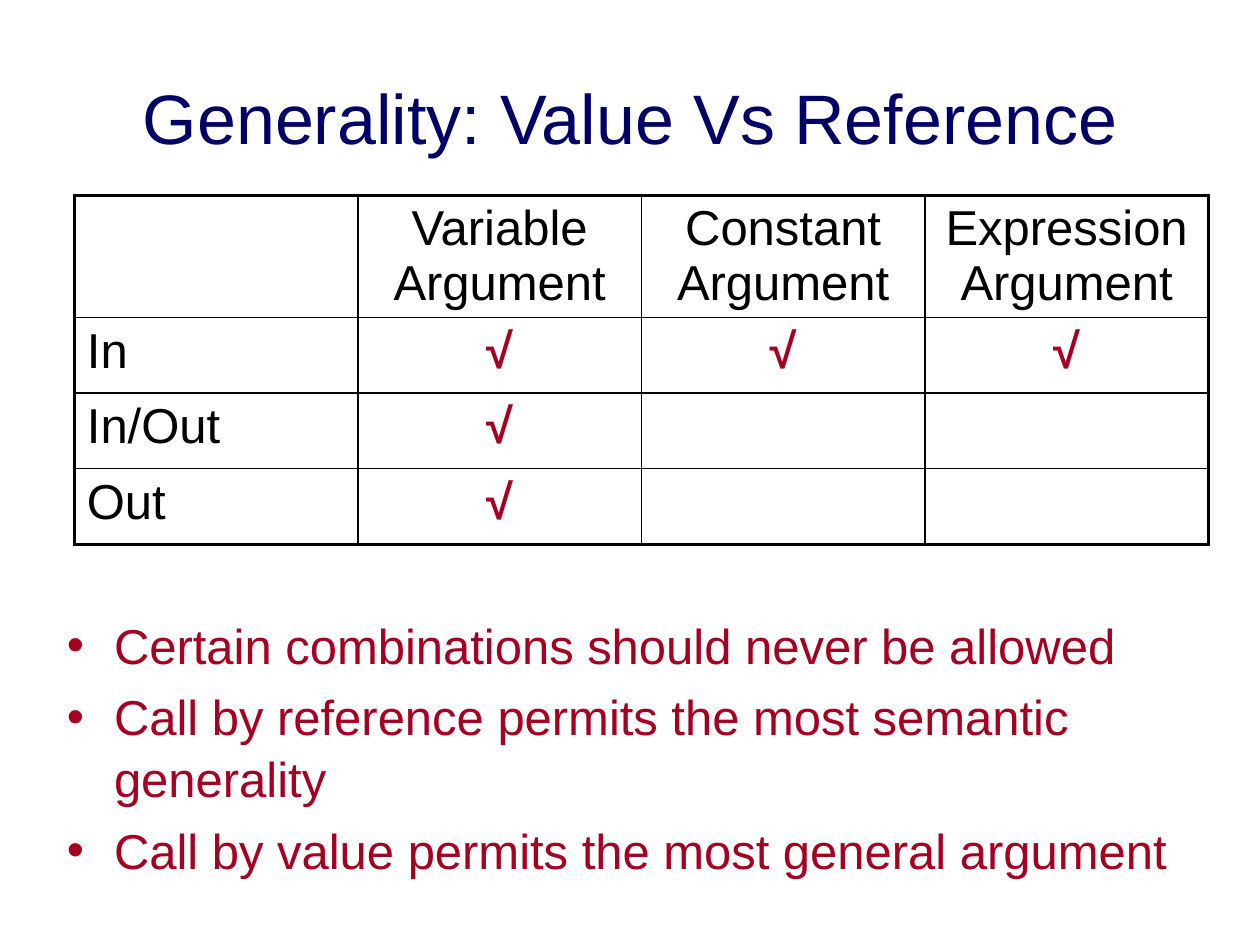
"""Slide on the generality of value and reference calls."""
from lxml.etree import SubElement as Sub
from pptx import Presentation
from pptx.dml.color import RGBColor as RGB
from pptx.enum.text import MSO_AUTO_SIZE as Fit, PP_ALIGN as Align
from pptx.oxml.ns import qn
from pptx.util import Inches, Pt

INK = {"title": "000066", "text": "000000", "mark": "A50021", "back": "FFFFFF"}
HEAD, ROW, COL = 0.97, 0.6, 2.25
THICK, THIN = 2.25, 1
GRID = [
    ["", "Variable Argument", "Constant Argument", "Expression Argument"],
    ["In", "√", "√", "√"],
    ["In/Out", "√", "", ""],
    ["Out", "√", "", ""],
]
POINTS = [
    "Certain combinations should never be allowed",
    "Call by reference permits the most semantic generality",
    "Call by value permits the most general argument",
]


def style(para, size, ink, bold=False):
    font = para.font
    font.name, font.size, font.bold = "Arial", Pt(size), bold
    font.color.rgb = RGB.from_string(INK[ink])


def place(shape, *box):
    shape.left, shape.top, shape.width, shape.height = map(Inches, box)


deck = Presentation()
deck.slide_width, deck.slide_height = Inches(10), Inches(7.5)
slide = deck.slides.add_slide(deck.slide_layouts[1])
title, body = slide.placeholders

place(title, 0.5, 0.3, 9, 1.25)
title.text_frame.text = "Generality: Value Vs Reference"
title.text_frame.auto_size = Fit.NONE
style(title.text_frame.paragraphs[0], 40, "title")

last = len(GRID) - 1
end = len(GRID[0]) - 1
frame = slide.shapes.add_table(
    last + 1, end + 1, Inches(0.59), Inches(1.55),
    Inches(COL * (end + 1)), Inches(HEAD + ROW * last))
table = frame.table
table.first_row = table.horz_banding = False
for col in table.columns:
    col.width = Inches(COL)
for r, line in enumerate(GRID):
    table.rows[r].height = Inches(ROW if r else HEAD)
    for c, text in enumerate(line):
        cell = table.cell(r, c)
        cell.text = text
        para = cell.text_frame.paragraphs[0]
        para.alignment = Align.CENTER if c else Align.LEFT
        mark = r > 0 and c > 0
        style(para, 28, "mark" if mark else "text", mark)
        props = cell._tc.get_or_add_tcPr()
        outer = {"L": c == 0, "R": c == end, "T": r == 0, "B": r == last}
        for side, edge in outer.items():
            rule = Sub(props, qn("a:ln" + side), w=str(Pt(THICK if edge else THIN)))
            fill = Sub(rule, qn("a:solidFill"))
            Sub(fill, qn("a:srgbClr"), val=INK["text"])
        cell.fill.solid()
        cell.fill.fore_color.rgb = RGB.from_string(INK["back"])

place(body, 0.43, 4.81, 9, 2.32)
body.text_frame.text = "\n".join(POINTS)
body.text_frame.auto_size = Fit.NONE
for para in body.text_frame.paragraphs:
    style(para, 28, "mark")
    para.space_before = Pt(5.6)
    para.line_spacing = 1.05

deck.save("out.pptx")
